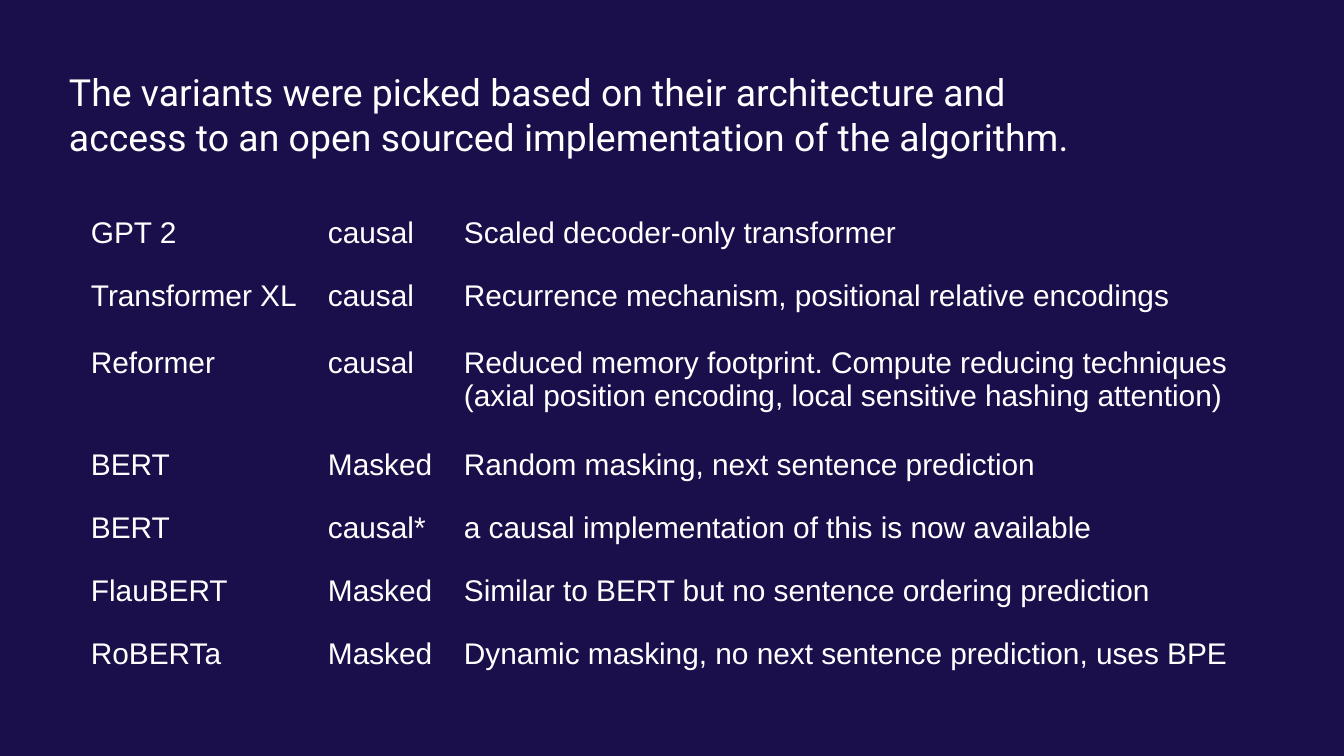
from lxml import etree
from pptx import Presentation
from pptx import util as u
from pptx.dml.color import RGBColor
from pptx.enum import text
from pptx.oxml import ns

EMU_PER_PX = 914400 / 134.4
COLORS = {"background": "1A0F4B", "text": "FFFFFF"}
INSET = 13

TITLE = [
    "The variants were picked based on their architecture and",
    "access to an open sourced implementation of the algorithm.",
]
VARIANTS = [
    ("GPT 2", "causal", "Scaled decoder-only transformer"),
    ("Transformer XL", "causal", "Recurrence mechanism, positional relative encodings"),
    ("Reformer", "causal", "Reduced memory footprint. Compute reducing techniques "
     "(axial position encoding, local sensitive hashing attention)"),
    ("BERT", "Masked", "Random masking, next sentence prediction"),
    ("BERT", "causal*", "a causal implementation of this is now available"),
    ("FlauBERT", "Masked", "Similar to BERT but no sentence ordering prediction"),
    ("RoBERTa", "Masked", "Dynamic masking, no next sentence prediction, uses BPE"),
]
COLUMN_WIDTHS = [237, 136, 859]
ROW_HEIGHTS = [63, 67, 102, 63, 63, 63, 98]


def px(length):
    return u.Emu(round(length * EMU_PER_PX))


class SlideBuilder:
    """Holds the style and the current slide."""

    def __init__(self, slide):
        self.slide = slide
        fill = slide.background.fill
        fill.solid()
        fill.fore_color.rgb = RGBColor.from_string(COLORS["background"])

    def add_lines(self, frame, lines, font, size):
        frame.word_wrap = True
        for index, line in enumerate(lines):
            para = frame.paragraphs[0] if index == 0 else frame.add_paragraph()
            para.alignment = text.PP_ALIGN.LEFT
            para.line_spacing = 1.0
            para.space_before = u.Pt(0)
            span = para.add_run()
            span.text = line
            span.font.name = font
            span.font.size = u.Pt(size)
            span.font.color.rgb = RGBColor.from_string(COLORS["text"])

    def title(self, lines, left, top, width, height):
        box = self.slide.shapes.title
        box.left, box.top, box.width, box.height = map(px, (left, top, width, height))
        frame = box.text_frame
        frame.auto_size = text.MSO_AUTO_SIZE.NONE
        frame.vertical_anchor = text.MSO_ANCHOR.TOP
        frame.margin_left = frame.margin_right = px(INSET)
        frame.margin_top = frame.margin_bottom = px(INSET)
        self.add_lines(frame, lines, "Roboto", 20)

    def clear_cell(self, cell):
        properties = cell._tc.get_or_add_tcPr()
        for side in ("lnL", "lnR", "lnT", "lnB"):
            line = etree.SubElement(properties, ns.qn(f"a:{side}"))
            etree.SubElement(line, ns.qn("a:noFill"))
        cell.fill.background()

    def table(self, rows, left, top, widths, heights):
        area = map(px, (left, top, sum(widths), sum(heights)))
        table = self.slide.shapes.add_table(len(rows), len(widths), *area).table
        table.first_row = table.horz_banding = False
        for column, width in zip(table.columns, widths):
            column.width = px(width)
        for table_row, height, values in zip(table.rows, heights, rows):
            table_row.height = px(height)
            for cell, value in zip(table_row.cells, values):
                self.clear_cell(cell)
                cell.margin_left = cell.margin_right = px(INSET)
                cell.margin_top = cell.margin_bottom = px(INSET)
                cell.vertical_anchor = text.MSO_ANCHOR.TOP
                self.add_lines(cell.text_frame, [value], "Arial", 16)


def main():
    deck = Presentation()
    deck.slide_width, deck.slide_height = px(1344), px(756)
    # Title-only layout
    page = SlideBuilder(deck.slides.add_slide(deck.slide_layouts[5]))

    # Heading
    page.title(TITLE, 56, 56, 1232, 67)

    # Model variants: name, attention type, description
    page.table(VARIANTS, 78, 204, COLUMN_WIDTHS, ROW_HEIGHTS)

    deck.save("out.pptx")


if __name__ == "__main__":
    main()
